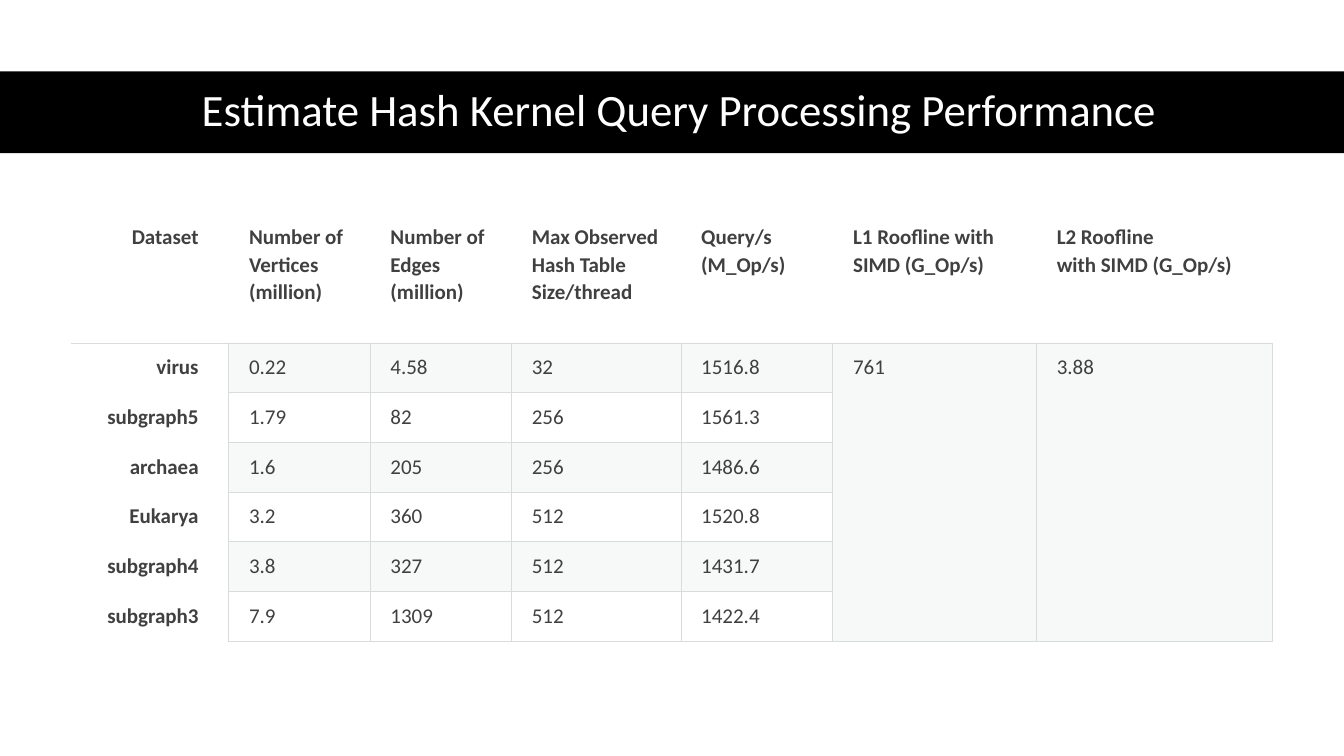
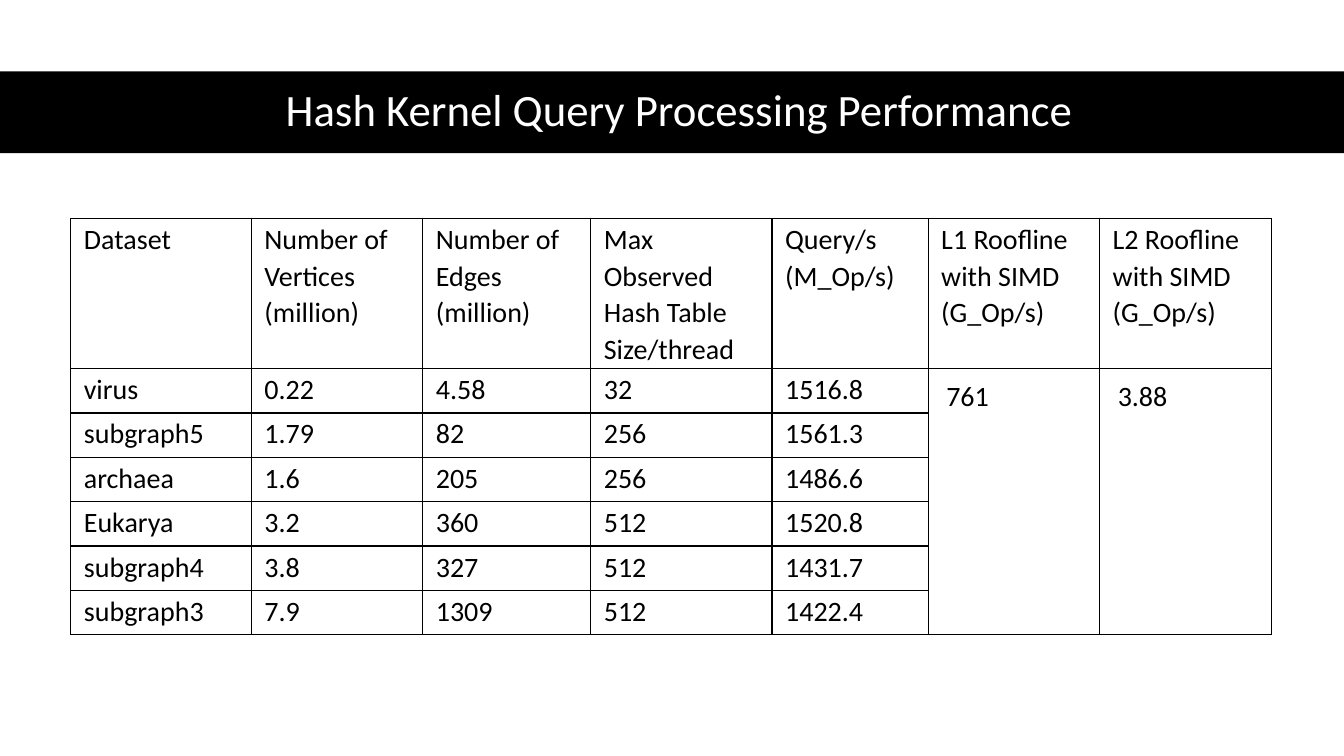
from lxml.etree import SubElement
from pptx import Presentation
from pptx.dml.color import RGBColor
from pptx.enum.shapes import MSO_SHAPE
from pptx.enum.text import MSO_ANCHOR, PP_ALIGN
from pptx.oxml.ns import qn
from pptx.util import Pt

WHITE = RGBColor(0xFF, 0xFF, 0xFF)
BLACK = RGBColor(0x00, 0x00, 0x00)
CHARCOAL = RGBColor(0x40, 0x40, 0x40)
RULE_GREY = RGBColor(0xD8, 0xDC, 0xDC)
STRIPE_GREY = RGBColor(0xD8, 0xDE, 0xDC)

HEADINGS = [
    "Dataset",
    "Number of Vertices (million)",
    "Number of Edges (million)",
    "Max Observed Hash Table Size/thread",
    "Query/s (M_Op/s)",
    "L1 Roofline with SIMD (G_Op/s)",
    "L2 Roofline\nwith SIMD (G_Op/s)",
]
DATASETS = [
    ["virus", "0.22", "4.58", "32", "1516.8", "761", "3.88"],
    ["subgraph5", "1.79", "82", "256", "1561.3"],
    ["archaea", "1.6", "205", "256", "1486.6"],
    ["Eukarya", "3.2", "360", "512", "1520.8"],
    ["subgraph4", "3.8", "327", "512", "1431.7"],
    ["subgraph3", "7.9", "1309", "512", "1422.4"],
]
RESULTS = [HEADINGS] + DATASETS
FIRST_ROOFLINE = 5


class Deck:
    FONT = "Calibri"
    WIDTH, HEIGHT = Pt(960), Pt(540)
    BAND_TOP, BAND_HEIGHT = Pt(51), Pt(58.5)

    def __init__(self):
        self.presentation = Presentation()
        self.presentation.slide_width = self.WIDTH
        self.presentation.slide_height = self.HEIGHT
        self.slide = None

    def add_slide(self, title):
        blank = self.presentation.slide_layouts[6]
        self.slide = self.presentation.slides.add_slide(blank)
        self.band()
        self.title(title)

    def band(self):
        band = self.slide.shapes.add_shape(
            MSO_SHAPE.RECTANGLE, 0, self.BAND_TOP, self.WIDTH, self.BAND_HEIGHT)
        band.shadow.inherit = False
        band.fill.solid()
        band.fill.fore_color.rgb = BLACK
        band.line.fill.background()

    def title(self, text):
        box = self.slide.shapes.add_textbox(
            Pt(44), Pt(50.5), Pt(882.5), self.BAND_HEIGHT)
        frame = box.text_frame
        frame.word_wrap = True
        frame.vertical_anchor = MSO_ANCHOR.MIDDLE
        frame.text = text
        self.style(frame, 32, WHITE, spacing=0.9, align=PP_ALIGN.CENTER)

    def style(self, frame, size, color, bold=False, spacing=1.07,
              align=PP_ALIGN.LEFT):
        for paragraph in frame.paragraphs:
            paragraph.alignment = align
            paragraph.line_spacing = spacing
            font = paragraph.font
            font.name, font.size, font.bold = self.FONT, Pt(size), bold
            font.color.rgb = color

    def results_table(self, top, widths, heights, format_cell):
        """Draw RESULTS; format_cell(cell, row, column) styles each cell."""
        table = self.slide.shapes.add_table(
            len(RESULTS), len(HEADINGS), Pt(50.5), Pt(top),
            Pt(sum(widths)), Pt(sum(heights))).table
        table.first_row = table.horz_banding = False
        for column, width in zip(table.columns, widths):
            column.width = Pt(width)
        for row, height in zip(table.rows, heights):
            row.height = Pt(height)
        for r, values in enumerate(RESULTS):
            for c, value in enumerate(values):
                table.cell(r, c).text = value
        for c in range(FIRST_ROOFLINE, len(HEADINGS)):
            table.cell(1, c).merge(table.cell(len(DATASETS), c))
        for r in range(len(RESULTS)):
            for c in range(len(HEADINGS)):
                format_cell(table.cell(r, c), r, c)

    def margins(self, cell, left, top, right, bottom):
        cell.margin_left, cell.margin_top = Pt(left), Pt(top)
        cell.margin_right, cell.margin_bottom = Pt(right), Pt(bottom)

    def borders(self, cell, color, width, sides="LRTB"):
        """Rule the given sides of a cell and clear the others."""
        properties = cell._tc.get_or_add_tcPr()
        for side in "LRTB":
            line = SubElement(properties, qn(f"a:ln{side}"), w=str(Pt(width)))
            if side in sides:
                fill = SubElement(line, qn("a:solidFill"))
                SubElement(fill, qn("a:srgbClr"), val=str(color))
            else:
                SubElement(line, qn("a:noFill"))

    def fill(self, cell, color=None, opacity=100):
        if color is None:
            cell.fill.background()
            return
        cell.fill.solid()
        cell.fill.fore_color.rgb = color
        tint = cell._tc.tcPr.find(f"{qn('a:solidFill')}/{qn('a:srgbClr')}")
        SubElement(tint, qn("a:alpha"), val=str(opacity * 1000))

    def striped_cell(self, cell, row, column):
        is_heading, is_label = row == 0, column == 0
        self.margins(cell, 14.4, 7.2, 21.6 if is_label else 8, 7.2)
        self.style(cell.text_frame, 15, CHARCOAL, bold=is_heading or is_label,
                   align=PP_ALIGN.RIGHT if is_label else PP_ALIGN.LEFT)
        if is_heading:
            sides = "B"
        elif is_label:
            sides = "RT" if row == 1 else "R"
        else:
            sides = "LRTB"
        self.borders(cell, RULE_GREY, 0.75, sides)
        is_striped = row % 2 == 1 or column >= FIRST_ROOFLINE
        if is_striped and not is_heading and not is_label:
            self.fill(cell, STRIPE_GREY, 20)
        else:
            self.fill(cell)

    def grid_cell(self, cell, row, column):
        if row > 0 and column >= FIRST_ROOFLINE:
            self.margins(cell, 13, 6.5, 13, 6.5)
        else:
            self.margins(cell, 9.4, 1.4, 9.4, 0)
        self.style(cell.text_frame, 20, BLACK)
        self.borders(cell, BLACK, 1)
        self.fill(cell)


def main():
    deck = Deck()
    deck.add_slide("Estimate Hash Kernel Query Processing Performance")
    deck.results_table(152, [113, 101, 101, 121, 108.5, 145.5, 168.5],
                       [93] + [35.5] * len(DATASETS), deck.striped_cell)
    deck.add_slide("Hash Kernel Query Processing Performance")
    deck.results_table(156, [129, 122.5, 120, 129.5, 111.5, 122.5, 123],
                       [107.3] + [31.7] * len(DATASETS), deck.grid_cell)
    deck.presentation.save("out.pptx")


if __name__ == "__main__":
    main()
